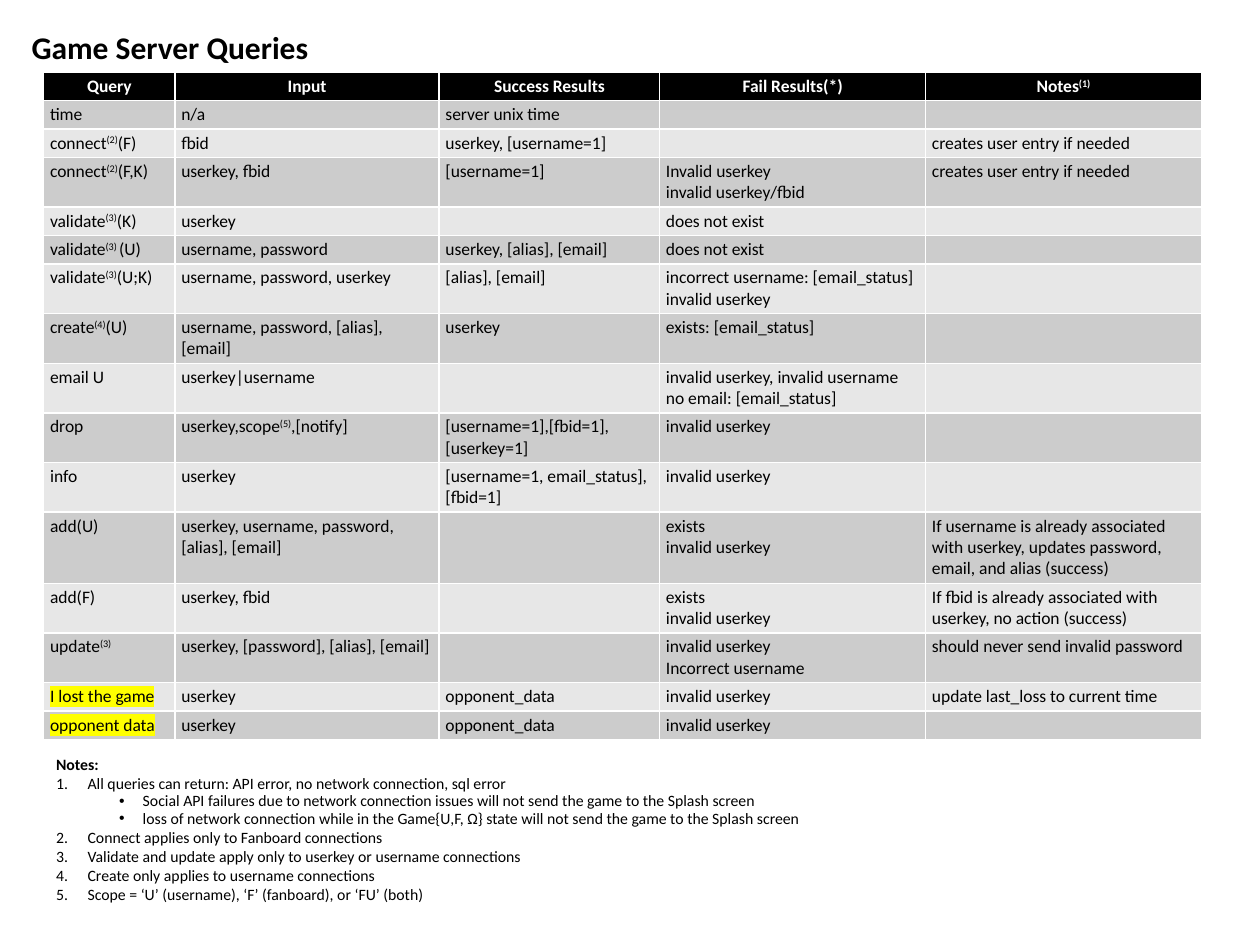
from lxml.etree import SubElement
from pptx import Presentation
from pptx.dml.color import RGBColor
from pptx.enum.text import MSO_ANCHOR, MSO_AUTO_SIZE, PP_ALIGN
from pptx.oxml.ns import qn
from pptx.util import Pt

COLORS = {"black": "000000", "white": "FFFFFF", "dark": "CCCCCC", "light": "E7E7E7", "mark": "FFFF00"}
FONT = "Calibri"
TITLE = "Game Server Queries"
HEADER = ("Query", "Input", "Success Results", "Fail Results(*)", "Notes^(1)")
WIDTHS = (75, 151, 126, 152, 157.5)
ROW_HEIGHTS = {1: 16.25, 2: 28.4, 3: 40.6}
MARKED = ("I lost the game", "opponent data")
ROWS = [
    (1, "time", "n/a", "server unix time", "", ""),
    (1, "connect^(2)^(F)", "fbid", "userkey, [username=1]", "", "creates user entry if needed"),
    (2, "connect^(2)^(F,K)", "userkey, fbid", "[username=1]",
     "Invalid userkey\ninvalid userkey/fbid", "creates user entry if needed"),
    (1, "validate^(3)^(K)", "userkey", "", "does not exist", ""),
    (1, "validate^(3) ^(U)", "username, password", "userkey, [alias], [email]", "does not exist", ""),
    (2, "validate^(3)^(U;K)", "username, password, userkey", "[alias], [email]",
     "incorrect username: [email_status]\ninvalid userkey", ""),
    (2, "create^(4)^(U)", "username, password, [alias], [email]", "userkey", "exists: [email_status]", ""),
    (2, "email U", "userkey|username", "",
     "invalid userkey, invalid username\nno email: [email_status]", ""),
    (2, "drop", "userkey,scope^(5)^,[notify]", "[username=1],[fbid=1],[userkey=1]", "invalid userkey", ""),
    (2, "info", "userkey", "[username=1, email_status], [fbid=1]", "invalid userkey", ""),
    (3, "add(U)", "userkey, username, password, [alias], [email]", "", "exists\ninvalid userkey",
     "If username is already associated with userkey, updates password, email, and alias (success)"),
    (2, "add(F)", "userkey, fbid", "", "exists\ninvalid userkey",
     "If fbid is already associated with userkey, no action (success)"),
    (2, "update^(3)", "userkey, [password], [alias], [email]", "",
     "invalid userkey\nIncorrect username", "should never send invalid password"),
    (1, "I lost the game", "userkey", "opponent_data", "invalid userkey", "update last_loss to current time"),
    (1, "opponent data", "userkey", "opponent_data", "invalid userkey", ""),
]
NOTES = [
    ("heading", "Notes:"),
    ("number", "All queries can return: API error, no network connection, sql error"),
    ("bullet", "Social API failures due to network connection issues will not send the game to the Splash screen"),
    ("bullet", "loss of network connection while in the Game{U,F, Ω} state will not send the game to the Splash screen"),
    ("number", "Connect applies only to Fanboard connections"),
    ("number", "Validate and update apply only to userkey or username connections"),
    ("number", "Create only applies to username connections"),
    ("number", "Scope = ‘U’ (username), ‘F’ (fanboard), or ‘FU’ (both)"),
]


def rgb(name):
    return RGBColor.from_string(COLORS[name])


def style(r, size, color="black", bold=False):
    r.font.name = FONT
    r.font.size = Pt(size)
    r.font.bold = bold
    r.font.color.rgb = rgb(color)


def highlight(r):
    mark = SubElement(r.font._element, qn("a:highlight"))
    SubElement(mark, qn("a:srgbClr"), val=COLORS["mark"])
    r.font._element.find(qn("a:latin")).addprevious(mark)


def fill_cell(cell, text, fill, color="black", head=False):
    cell.fill.solid()
    cell.fill.fore_color.rgb = rgb(fill)
    cell.margin_left = cell.margin_right = Pt(3.6)
    cell.margin_top = cell.margin_bottom = Pt(2)
    cell.vertical_anchor = MSO_ANCHOR.BOTTOM if head else MSO_ANCHOR.TOP
    tf = cell.text_frame
    tf.text = text.replace("^", "")
    for p, line in zip(tf.paragraphs, text.split("\n")):
        p.alignment = PP_ALIGN.CENTER if head else PP_ALIGN.LEFT
        if not line:
            SubElement(p._p, qn("a:endParaRPr"), sz="1000")
            continue
        p.clear()
        for i, part in enumerate(filter(None, line.split("^"))):
            r = p.add_run()
            r.text = part
            style(r, 10, color, head)
            if i % 2:
                r.font._element.set("baseline", "30000")
            if part in MARKED:
                highlight(r)


def add_title(s):
    title = s.shapes.title
    title.left, title.top, title.width, title.height = Pt(10.8), Pt(12.25), Pt(174), Pt(29)
    tf = title.text_frame
    tf.text = TITLE
    tf.word_wrap = False
    tf.auto_size = MSO_AUTO_SIZE.SHAPE_TO_FIT_TEXT
    tf.vertical_anchor = MSO_ANCHOR.TOP
    p = tf.paragraphs[0]
    p.alignment = PP_ALIGN.LEFT
    style(p.runs[0], 18, bold=True)


def add_queries(s):
    heights = [ROW_HEIGHTS[n] for n in (1, *(row[0] for row in ROWS))]
    table = s.shapes.add_table(len(heights), len(WIDTHS), Pt(25), Pt(41.25),
                               Pt(sum(WIDTHS)), Pt(sum(heights))).table
    for column, width in zip(table.columns, WIDTHS):
        column.width = Pt(width)
    for row, height in zip(table.rows, heights):
        row.height = Pt(height)
    for c, text in enumerate(HEADER):
        fill_cell(table.cell(0, c), text, "black", "white", True)
    for i, (_, *texts) in enumerate(ROWS):
        for c, text in enumerate(texts):
            fill_cell(table.cell(i + 1, c), text, "light" if i % 2 else "dark")


def add_notes(s):
    tf = s.shapes.add_textbox(Pt(25), Pt(427.75), Pt(670), Pt(93)).text_frame
    tf.word_wrap = True
    tf.auto_size = MSO_AUTO_SIZE.SHAPE_TO_FIT_TEXT
    tf.text = "\n".join(text for _, text in NOTES)
    for p, (kind, _) in zip(tf.paragraphs, NOTES):
        style(p.runs[0], 9, bold=kind == "heading")
        if kind == "heading":
            continue
        if kind == "bullet":
            p.level = 1
            p.line_spacing = Pt(10)
        margin, hang = (49.5, 13.5) if kind == "bullet" else (18, 18)
        pPr = p._p.get_or_add_pPr()
        pPr.set("marL", str(Pt(margin)))
        pPr.set("indent", str(-Pt(hang)))
        if kind == "bullet":
            SubElement(pPr, qn("a:buFont"), typeface="Arial")
            SubElement(pPr, qn("a:buChar"), char="•")
        else:
            SubElement(pPr, qn("a:buFont"), typeface="+mj-lt")
            SubElement(pPr, qn("a:buAutoNum"), type="arabicPeriod")


def main():
    """Build the game server query reference slide."""
    prs = Presentation()
    prs.slide_width, prs.slide_height = Pt(720), Pt(540)
    s = prs.slides.add_slide(prs.slide_layouts[5])
    add_title(s)
    add_queries(s)
    add_notes(s)
    prs.save("out.pptx")


if __name__ == "__main__":
    main()
